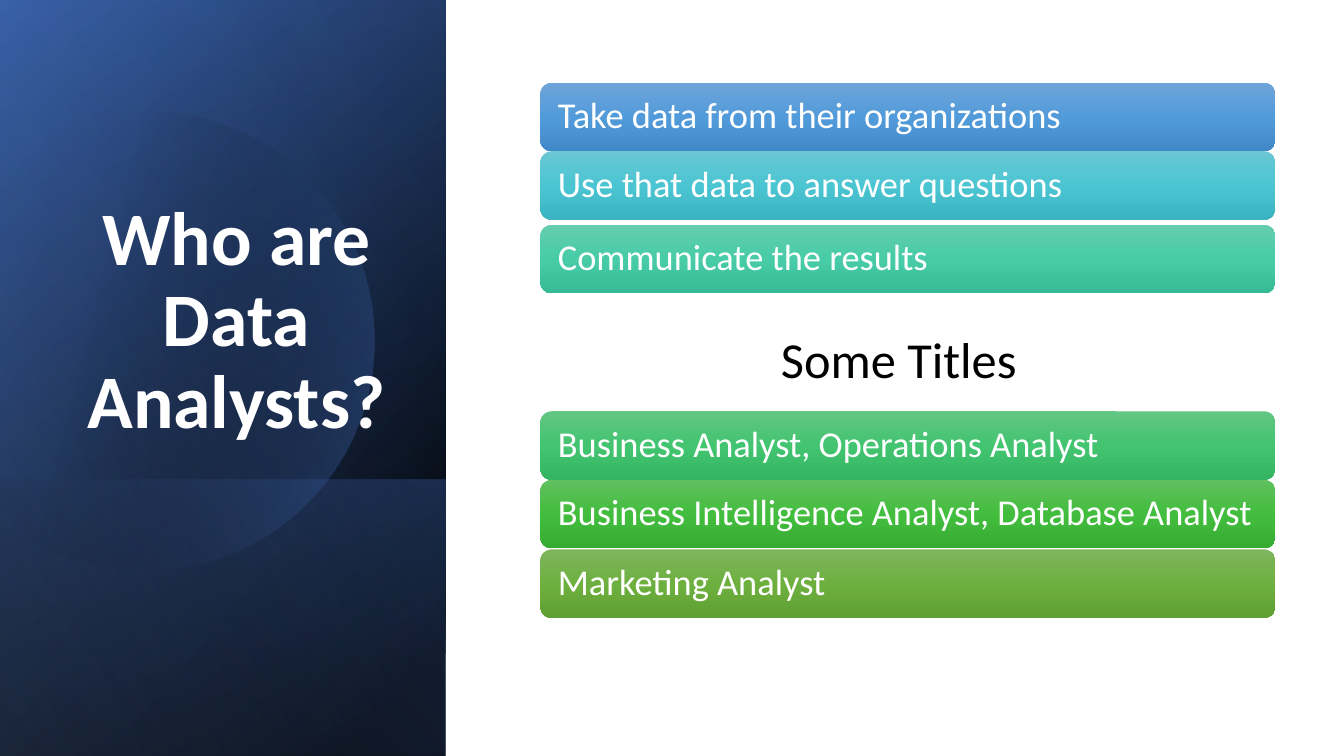
from math import cos, radians, sin

from lxml.etree import SubElement
from pptx import Presentation
from pptx.dml.color import RGBColor
from pptx.enum.shapes import MSO_SHAPE
from pptx.enum.text import MSO_ANCHOR, PP_ALIGN
from pptx.oxml.ns import qn
from pptx.util import Inches, Pt

COLORS = {"white": "FFFFFF", "black": "000000", "navy": "2F5496",
          "blue": "4472C4", "pale": "8DA9DB"}

TITLE = "Who are Data Analysts?"
SUBTITLE = "Some Titles"
# top, text, gradient from top to bottom
BARS = [
    (0.82, "Take data from their organizations", ("6EA5DA", "529BDA", "4188C8")),
    (1.50, "Use that data to answer questions", ("6AC7D3", "4CC5D3", "3BB3C1")),
    (2.23, "Communicate the results", ("66CDAE", "47CCA7", "37BB96")),
    (4.08, "Business Analyst, Operations Analyst", ("62C683", "43C470", "33B561")),
    (4.76, "Business Intelligence Analyst, Database Analyst",
     ("61C05F", "43BD3E", "36AC32")),
    (5.45, "Marketing Analyst", ("7EB55F", "6EB03F", "5F9F34")),
]
BAR_LEFT, BAR_WIDTH, BAR_HEIGHT = 5.36, 7.29, 0.68

# Gradient stops: position %, colour, opacity %
PANEL_WIDTH, SLIDE_HEIGHT = 4.42, 7.5
BASE = [(0, "black", 100), (8, "black", 100), (100, "navy", 100)]
GLOW = [(0, "black", 0), (99, "blue", 46), (100, "blue", 46)]
FOOT = [(0, "blue", 29), (2, "blue", 29), (100, "black", 30)]
DISC = [(0, "black", 0), (29, "black", 0), (100, "blue", 43)]
SHEEN = [(0, "black", 0), (99, "pale", 11), (100, "pale", 11)]
DISC_CENTER, DISC_RADIUS, DISC_HALF_ARC = (1.43, 3.38), 2.28, 129


def paint(shape, stops, angle):
    """Fill with a linear gradient; stops hold position, hex colour, opacity."""
    shape.shadow.inherit = False
    shape.line.fill.background()
    shape.fill.gradient()
    gradient = shape._element.spPr.find(qn("a:gradFill"))
    stop_list = gradient.find(qn("a:gsLst"))
    for old in list(stop_list):
        stop_list.remove(old)
    for position, color, opacity in stops:
        stop = SubElement(stop_list, qn("a:gs"), pos=str(position * 1000))
        rgb = SubElement(stop, qn("a:srgbClr"), val=color)
        if opacity < 100:
            SubElement(rgb, qn("a:alpha"), val=str(opacity * 1000))
    gradient.find(qn("a:lin")).set("ang", str(angle * 60000))


def named(stops):
    return [(position, COLORS[name], opacity) for position, name, opacity in stops]


def write(shape, text, size, color="white", bold=False, align=PP_ALIGN.LEFT,
          anchor=MSO_ANCHOR.TOP, spacing=1.0, inset=(0.1, 0.05)):
    frame = shape.text_frame
    frame.word_wrap = True
    frame.vertical_anchor = anchor
    frame.margin_left = frame.margin_right = Inches(inset[0])
    frame.margin_top = frame.margin_bottom = Inches(inset[1])
    paragraph = frame.paragraphs[0]
    paragraph.alignment, paragraph.line_spacing = align, spacing
    run = paragraph.add_run()
    run.text = text
    run.font.name, run.font.size, run.font.bold = "Calibri", Pt(size), bold
    run.font.color.rgb = RGBColor.from_string(COLORS[color])


def add_panel(shapes, top, stops, angle):
    """Add a quarter-turned, mirrored rectangle from top to the slide's foot."""
    length = SLIDE_HEIGHT - top
    left = (PANEL_WIDTH - length) / 2
    panel = shapes.add_shape(
        MSO_SHAPE.RECTANGLE, Inches(left), Inches(top - left),
        Inches(length), Inches(PANEL_WIDTH))
    panel.rotation = 90
    panel._element.spPr.find(qn("a:xfrm")).set("flipH", "1")
    paint(panel, named(stops), angle)


def add_disc(shapes):
    """Add the circle that is cut off by the slide's left edge."""
    center_x, center_y = DISC_CENTER
    points = [(Inches(max(0, center_x + DISC_RADIUS * cos(radians(a)))),
               Inches(center_y + DISC_RADIUS * sin(radians(a))))
              for a in range(-DISC_HALF_ARC, DISC_HALF_ARC + 1, 2)]
    outline = shapes.build_freeform(*points[0])
    outline.add_line_segments(points[1:], close=True)
    paint(outline.convert_to_shape(), named(DISC), 14)


def add_bar(shapes, top, text, tones):
    bar = shapes.add_shape(
        MSO_SHAPE.ROUNDED_RECTANGLE, Inches(BAR_LEFT), Inches(top),
        Inches(BAR_WIDTH), Inches(BAR_HEIGHT))
    paint(bar, [(50 * i, tone, 100) for i, tone in enumerate(tones)], 90)
    write(bar, text, 26, anchor=MSO_ANCHOR.MIDDLE, spacing=0.9, inset=(0.14, 0.1))


def main():
    deck = Presentation()
    deck.slide_width, deck.slide_height = Inches(13.33), Inches(SLIDE_HEIGHT)
    shapes = deck.slides.add_slide(deck.slide_layouts[6]).shapes

    add_panel(shapes, 0, BASE, 50)
    add_panel(shapes, 0, GLOW, 30)
    add_panel(shapes, 4.76, FOOT, 130)
    add_disc(shapes)
    add_panel(shapes, 0, SHEEN, 120)

    title = shapes.add_textbox(Inches(0.64), Inches(1.84), Inches(3.41), Inches(2.62))
    write(title, TITLE, 54, bold=True, align=PP_ALIGN.CENTER,
          anchor=MSO_ANCHOR.BOTTOM, spacing=0.9)
    for top, text, tones in BARS:
        add_bar(shapes, top, text, tones)
    subtitle = shapes.add_textbox(
        Inches(7.33), Inches(3.21), Inches(3.17), Inches(0.71))
    write(subtitle, SUBTITLE, 36, color="black", align=PP_ALIGN.CENTER)

    deck.save("out.pptx")


if __name__ == "__main__":
    main()
